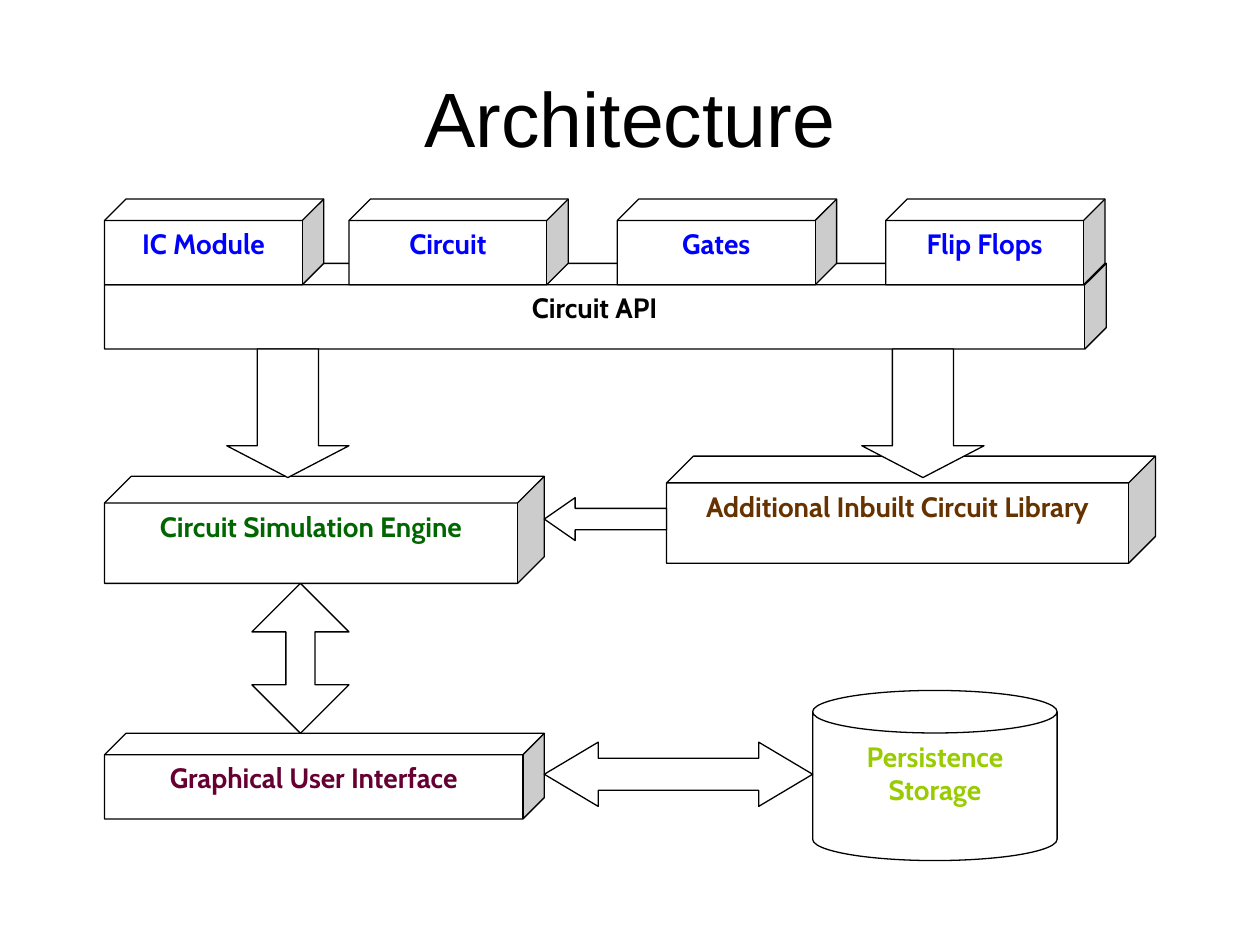
from dataclasses import dataclass

from pptx import Presentation
from pptx import util as u
from pptx.dml.color import RGBColor
from pptx.enum import shapes, text


@dataclass(frozen=True)
class Theme:
    title_font: str = "Arial"
    label_font: str = "Cabin"
    title_size: int = 44
    label_size: int = 16
    line_width: float = 0.75
    ink: str = "000000"
    paper: str = "FFFFFF"
    module: str = "0000FF"
    engine: str = "006600"
    library: str = "663300"
    interface: str = "660033"
    storage: str = "99CC00"


class Diagram:
    def __init__(self, page, theme):
        self.page = page
        self.theme = theme

    def label(self, box, words, font, size, color, bold, anchor):
        frame = box.text_frame
        frame.text = words
        frame.word_wrap = True
        frame.auto_size = text.MSO_AUTO_SIZE.NONE
        frame.vertical_anchor = anchor
        frame.margin_left = frame.margin_right = u.Inches(0.1)
        frame.margin_top = frame.margin_bottom = u.Inches(0.05)
        para = frame.paragraphs[0]
        para.alignment = text.PP_ALIGN.CENTER
        for span in para.runs:
            span.font.name = font
            span.font.size = u.Pt(size)
            span.font.bold = bold
            span.font.color.rgb = RGBColor.from_string(color)

    def title(self, words, left, top, width, height):
        box = self.page.shapes.title
        box.left, box.top = u.Inches(left), u.Inches(top)
        box.width, box.height = u.Inches(width), u.Inches(height)
        self.label(box, words, self.theme.title_font, self.theme.title_size,
                   self.theme.ink, False, text.MSO_ANCHOR.MIDDLE)

    def outline(self, kind, left, top, width, height, *adjustments):
        box = self.page.shapes.add_shape(
            kind, u.Inches(left), u.Inches(top), u.Inches(width), u.Inches(height))
        for index, value in enumerate(adjustments):
            box.adjustments[index] = value
        box.shadow.inherit = False
        box.fill.solid()
        box.fill.fore_color.rgb = RGBColor.from_string(self.theme.paper)
        box.line.color.rgb = RGBColor.from_string(self.theme.ink)
        box.line.width = u.Pt(self.theme.line_width)
        return box

    def block(self, words, color, left, top, width, height,
              kind=shapes.MSO_SHAPE.CUBE):
        box = self.outline(kind, left, top, width, height, 0.25)
        self.label(box, words, self.theme.label_font, self.theme.label_size,
                   color, True, text.MSO_ANCHOR.TOP)

    def arrow(self, kind, left, top, width, height, head):
        self.outline(kind, left, top, width, height, 0.5, head)


def main():
    deck = Presentation()
    deck.slide_width, deck.slide_height = u.Inches(10), u.Inches(7.5)
    theme = Theme()
    diagram = Diagram(deck.slides.add_slide(deck.slide_layouts[5]), theme)
    kinds = shapes.MSO_SHAPE
    left_edge, wide, low = 0.83, 3.49, 0.68

    diagram.title("Architecture", 0.5, 0.3, 9, 1.25)
    diagram.block("Circuit API", theme.ink, left_edge, 2.09, 7.95, low)
    modules = {"IC Module": left_edge, "Circuit": 2.77, "Gates": 4.9, "Flip Flops": 7.03}
    for name, left in modules.items():
        diagram.block(name, theme.module, left, 1.58, 1.74, low)

    diagram.block("Circuit Simulation Engine", theme.engine, left_edge, 3.78, wide, 0.85)
    diagram.block("Additional Inbuilt Circuit Library", theme.library, 5.29, 3.62, 3.88, 0.85)
    diagram.block("Graphical User Interface", theme.interface, left_edge, 5.82, wide, low)
    diagram.block("Persistence Storage", theme.storage, 6.45, 5.48, 1.94, 1.35, kinds.CAN)

    for left in (1.8, 6.84):
        diagram.arrow(kinds.DOWN_ARROW, left, 2.77, 0.97, 1.02, 0.26)
    diagram.arrow(kinds.UP_DOWN_ARROW, 2, 4.63, 0.77, 1.19, 0.3)
    diagram.arrow(kinds.LEFT_ARROW, 4.32, 3.95, 0.97, 0.34, 0.72)
    diagram.arrow(kinds.LEFT_RIGHT_ARROW, 4.32, 5.89, 2.13, 0.51, 0.84)

    deck.save("out.pptx")


if __name__ == "__main__":
    main()
